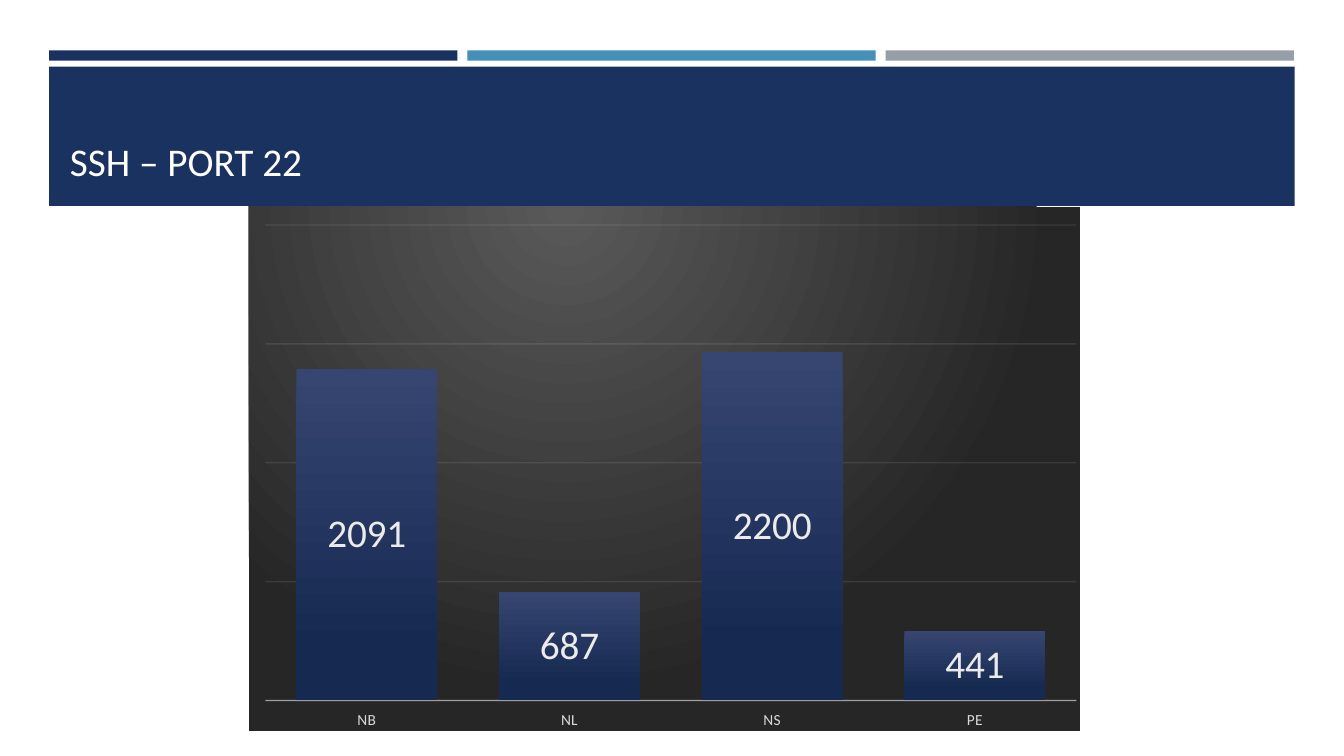
from dataclasses import dataclass

from pptx import Presentation
from pptx.chart.data import CategoryChartData
from pptx.dml.color import RGBColor
from pptx.enum import chart as charts, shapes, text
from pptx.oxml import parse_xml
from pptx.oxml.ns import nsdecls
from pptx.util import Cm, Pt

NAVY = RGBColor(0x1A, 0x32, 0x60)
BLUE = RGBColor(0x45, 0x90, 0xB8)
GREY = RGBColor(0x96, 0x9F, 0xA7)
WHITE = RGBColor(0xFF, 0xFF, 0xFF)
LABEL = RGBColor(0xEB, 0xEB, 0xEB)
AXIS_TEXT = RGBColor(0xD9, 0xD9, 0xD9)
AXIS_LINE = RGBColor(0xF2, 0xF2, 0xF2)
BAR_TOP = RGBColor(0x36, 0x46, 0x71)
BAR_BOTTOM = RGBColor(0x16, 0x2A, 0x51)
GLOW = RGBColor(0x59, 0x59, 0x59)
DARK = RGBColor(0x26, 0x26, 0x26)

FONT = "Calibri"
LEFT = 1.24
STRIPE_PITCH = 10.54
ATTEMPTS = {"NB": 2091, "NL": 687, "NS": 2200, "PE": 441}


@dataclass
class Band:
    left: float
    top: float
    width: float
    height: float
    color: RGBColor


STRIPES = [Band(LEFT + i * STRIPE_PITCH, 1.27, 10.29, 0.26, color)
           for i, color in enumerate((NAVY, BLUE, GREY))]
BANNER = Band(LEFT, 1.68, 31.39, 3.51, NAVY)


def draw_band(page, band: Band) -> None:
    box = page.shapes.add_shape(
        shapes.MSO_SHAPE.RECTANGLE,
        Cm(band.left), Cm(band.top), Cm(band.width), Cm(band.height))
    box.shadow.inherit = False
    box.fill.solid()
    box.fill.fore_color.rgb = band.color
    box.line.fill.background()


def format_font(font, size: float, color: RGBColor) -> None:
    font.name = FONT
    font.size = Pt(size)
    font.bold = False
    font.color.rgb = color


def write_text(box, words: str, *, size: float, color: RGBColor,
               align=text.PP_ALIGN.LEFT, anchor=text.MSO_ANCHOR.BOTTOM) -> None:
    frame = box.text_frame
    frame.word_wrap = True
    frame.auto_size = text.MSO_AUTO_SIZE.NONE
    frame.vertical_anchor = anchor
    frame.margin_left = frame.margin_right = Cm(0.13)
    frame.margin_top = frame.margin_bottom = Cm(0.13)
    para = frame.paragraphs[0]
    para.alignment = align
    span = para.add_run()
    span.text = words
    format_font(span.font, size, color)


def add_title(page, words: str) -> None:
    title = page.shapes.title
    title.left, title.top = Cm(1.63), Cm(2.03)
    title.width, title.height = Cm(30.63), Cm(2.74)
    write_text(title, words, size=28, color=WHITE)
    # Bring the title in front of the banner
    title.element.getparent().append(title.element)


def style_line(chart, line, parent: str, opacity: int) -> None:
    """Give an axis or grid line its colour and opacity in percent."""
    line.width = Pt(1)
    line.color.rgb = AXIS_LINE
    for color in chart.element.xpath(f".//{parent}/c:spPr/a:ln//a:srgbClr"):
        color.append(parse_xml(
            f'<a:alpha {nsdecls("a")} val="{opacity * 1000}"/>'))


def fill_chart_area(chart) -> None:
    """Put a radial glow, centred above the top edge, behind the chart."""
    area = parse_xml(
        f'<c:spPr {nsdecls("c", "a")}><a:gradFill><a:gsLst>'
        f'<a:gs pos="0"><a:srgbClr val="{GLOW}"/></a:gs>'
        f'<a:gs pos="100000"><a:srgbClr val="{DARK}"/></a:gs>'
        '</a:gsLst><a:path path="circle">'
        '<a:fillToRect l="38000" t="-20000" r="62000" b="120000"/>'
        '</a:path></a:gradFill><a:ln><a:noFill/></a:ln></c:spPr>')
    chart.element.xpath("c:chart")[0].addnext(area)


def place_plot(chart, **fractions: float) -> None:
    plot_area = chart.element.xpath("c:chart/c:plotArea")[0]
    for layout in plot_area.xpath("c:layout"):
        plot_area.remove(layout)
    parts = "".join(f'<c:{name} val="{value}"/>'
                    for name, value in fractions.items())
    plot_area.insert(0, parse_xml(
        f'<c:layout {nsdecls("c")}><c:manualLayout>'
        '<c:layoutTarget val="inner"/><c:xMode val="edge"/>'
        f'<c:yMode val="edge"/>{parts}</c:manualLayout></c:layout>'))


def format_axes(chart) -> None:
    category, value = chart.category_axis, chart.value_axis
    for axis in (category, value):
        axis.major_tick_mark = axis.minor_tick_mark = charts.XL_TICK_MARK.NONE
        format_font(axis.tick_labels.font, 11, AXIS_TEXT)
    category.tick_label_position = charts.XL_TICK_LABEL_POSITION.LOW
    category.has_major_gridlines = False
    style_line(chart, category.format.line, "c:catAx", 54)

    value.minimum_scale, value.maximum_scale, value.major_unit = 0, 3000, 750
    value.tick_label_position = charts.XL_TICK_LABEL_POSITION.NONE
    value.format.line.fill.background()
    value.has_major_gridlines = True
    style_line(chart, value.major_gridlines.format.line,
               "c:valAx/c:majorGridlines", 10)


def format_bars(plot) -> None:
    plot.gap_width, plot.overlap = 44, 100
    plot.vary_by_categories = False
    series = plot.series[0]
    fill = series.format.fill
    fill.gradient()
    fill.gradient_angle = 270
    for stop, position, color in zip(
            fill.gradient_stops, (0, 0.84), (BAR_TOP, BAR_BOTTOM)):
        stop.position = position
        stop.color.rgb = color
    series.format.line.fill.background()

    labels = series.data_labels
    labels.show_value = True
    labels.position = charts.XL_LABEL_POSITION.CENTER
    labels.number_format, labels.number_format_is_linked = "0", False
    format_font(labels.font, 28, LABEL)


def add_attempts_chart(page) -> None:
    data = CategoryChartData(number_format="0")
    data.categories = list(ATTEMPTS)
    data.add_series("Series 1", list(ATTEMPTS.values()))
    chart = page.shapes.add_chart(
        charts.XL_CHART_TYPE.COLUMN_STACKED,
        Cm(6.27), Cm(5.21), Cm(20.96), Cm(13.21), data).chart
    chart.has_title = chart.has_legend = False
    format_font(chart.font, 10, AXIS_TEXT)
    fill_chart_area(chart)
    place_plot(chart, x=0.02, y=0.035, w=0.975, h=0.907)
    format_axes(chart)
    format_bars(chart.plots[0])


def main() -> None:
    deck = Presentation()
    deck.slide_width, deck.slide_height = Cm(33.87), Cm(19.05)
    page = deck.slides.add_slide(deck.slide_layouts.get_by_name("Title Only"))
    for band in (*STRIPES, BANNER):
        draw_band(page, band)
    add_title(page, "SSH – PORT 22")
    add_attempts_chart(page)
    deck.save("out.pptx")


if __name__ == "__main__":
    main()
